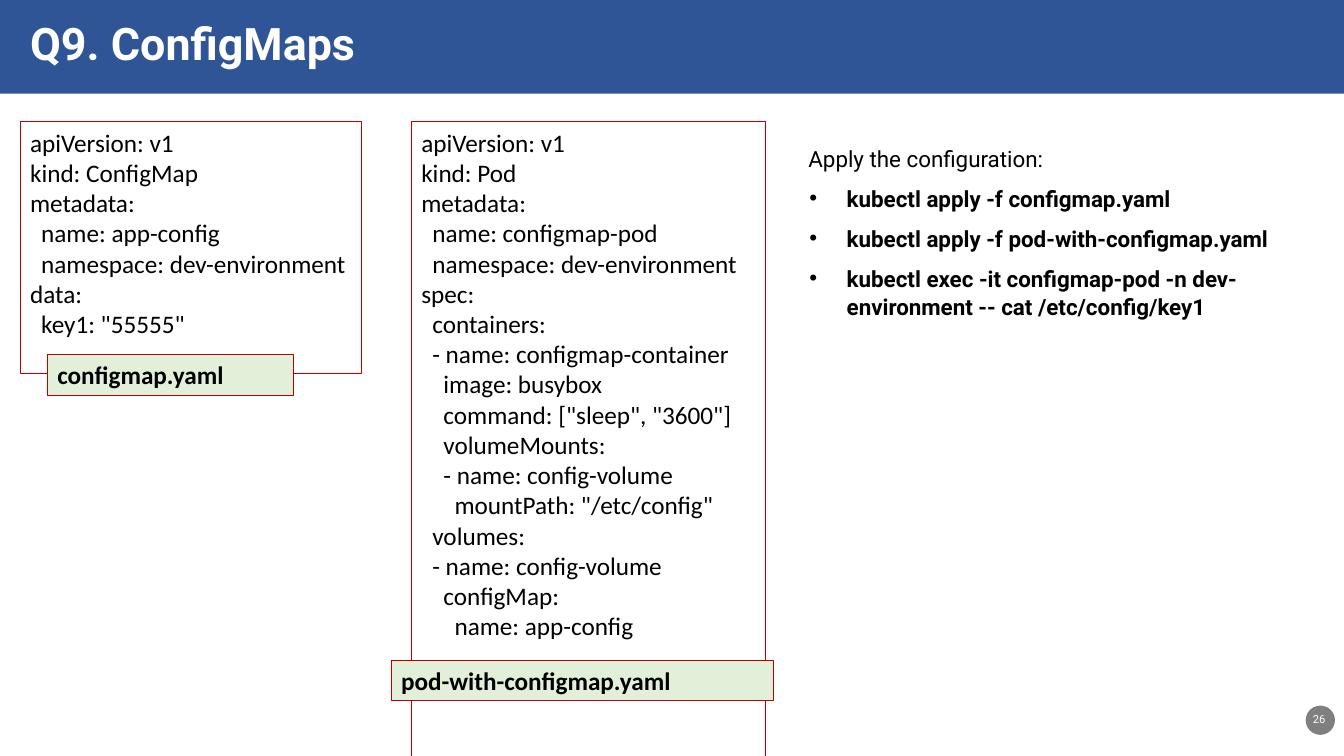
from lxml.etree import SubElement
from pptx import Presentation
from pptx.dml.color import RGBColor
from pptx.enum.shapes import MSO_SHAPE
from pptx.enum.text import MSO_ANCHOR, PP_ALIGN
from pptx.oxml.ns import qn
from pptx.util import Pt

PX = 9144  # EMU in one px, 100 px to the inch
WIDE, HIGH = 1333, 750
STEP = 11  # one level of YAML indent

WHITE = RGBColor(0xFF, 0xFF, 0xFF)
BLACK = RGBColor(0, 0, 0)
BLUE = RGBColor(0x2F, 0x55, 0x97)
RED = RGBColor(0xC0, 0, 0)
GREEN = RGBColor(0xE2, 0xF0, 0xD9)
GRAY = RGBColor(0x7F, 0x7F, 0x7F)

# Each line: indent level, text
CONFIG = [
    (0, "apiVersion: v1"),
    (0, "kind: ConfigMap"),
    (0, "metadata:"),
    (1, "name: app-config"),
    (1, "namespace: dev-environment"),
    (0, "data:"),
    (1, 'key1: "55555"'),
]
POD = [
    (0, "apiVersion: v1"),
    (0, "kind: Pod"),
    (0, "metadata:"),
    (1, "name: configmap-pod"),
    (1, "namespace: dev-environment"),
    (0, "spec:"),
    (1, "containers:"),
    (1, "- name: configmap-container"),
    (2, "image: busybox"),
    (2, 'command: ["sleep", "3600"]'),
    (2, "volumeMounts:"),
    (2, "- name: config-volume"),
    (3, 'mountPath: "/etc/config"'),
    (1, "volumes:"),
    (1, "- name: config-volume"),
    (2, "configMap:"),
    (3, "name: app-config"),
]
STEPS = [
    "kubectl apply -f configmap.yaml",
    "kubectl apply -f pod-with-configmap.yaml",
    "kubectl exec -it configmap-pod -n dev-environment -- cat /etc/config/key1",
]


def add_box(slide, box, fill=None, line=None, kind=MSO_SHAPE.RECTANGLE):
    shape = slide.shapes.add_shape(kind, *(v * PX for v in box))
    shape.shadow.inherit = False
    if fill is None:
        shape.fill.background()
    else:
        shape.fill.solid()
        shape.fill.fore_color.rgb = fill
    if line is None:
        shape.line.fill.background()
    else:
        shape.line.color.rgb = line
        shape.line.width = Pt(0.75)
    shape.text_frame.vertical_anchor = MSO_ANCHOR.TOP
    return shape


def add_text(slide, box):
    frame = slide.shapes.add_textbox(*(v * PX for v in box)).text_frame
    frame.word_wrap = True
    return frame


def add_run(para, text, size, font, color=BLACK, bold=False):
    run = para.add_run()
    run.text = text
    run.font.size = Pt(size)
    run.font.name = font
    run.font.bold = bold
    run.font.color.rgb = color


def next_para(frame, first):
    para = frame.paragraphs[0] if first else frame.add_paragraph()
    para.alignment = PP_ALIGN.LEFT
    return para


def add_title(slide, box, text):
    left, top, wide, high = box
    add_box(slide, box, BLUE)
    frame = add_text(slide, (left + 20, top + 11, 1046, 63))
    add_run(next_para(frame, True), text, 32, "Roboto", WHITE, True)


def add_code(slide, box, lines, name, tag):
    """Framed YAML with a file label, tag being placed relative to box."""
    left, top = box[:2]
    frame = add_box(slide, box, line=RED).text_frame
    for i, (level, text) in enumerate(lines):
        para = next_para(frame, i == 0)
        para._p.get_or_add_pPr().set("marL", str(level * STEP * PX))
        add_run(para, text, 18, "Calibri")

    # File label
    dx, dy, wide, high = tag
    label = add_box(slide, (left + dx, top + dy, wide, high), GREEN, RED)
    add_run(next_para(label.text_frame, True), name, 18, "Calibri", bold=True)


def add_steps(slide, box, head, steps):
    frame = add_text(slide, box)
    for i, text in enumerate([head] + steps):
        para = next_para(frame, i == 0)
        para.line_spacing = 1.07
        para.space_after = Pt(8)
        if i:
            props = para._p.get_or_add_pPr()
            props.set("marL", str(38 * PX))
            props.set("indent", str(-37 * PX))
            SubElement(props, qn("a:buFont")).set("typeface", "Arial")
            SubElement(props, qn("a:buChar")).set("char", "•")
        add_run(para, text, 16, "Roboto", bold=i > 0)


def add_number(slide, box, text):
    left, top, wide, high = box
    add_box(slide, box, GRAY, kind=MSO_SHAPE.OVAL)
    frame = add_text(slide, (left - 5, top + 1, 37, 25))
    frame.margin_left = frame.margin_right = 0
    frame.vertical_anchor = MSO_ANCHOR.MIDDLE
    para = next_para(frame, True)
    para.alignment = PP_ALIGN.CENTER
    add_run(para, text, 8, "Roboto", WHITE)


def main():
    deck = Presentation()
    deck.slide_width, deck.slide_height = WIDE * PX, HIGH * PX
    slide = deck.slides.add_slide(deck.slide_layouts[6])
    add_number(slide, (1295, 700, 29, 29), "26")
    add_title(slide, (0, 0, WIDE, 93), "Q9. ConfigMaps")
    add_code(slide, (20, 121, 339, 250), CONFIG, "configmap.yaml",
             (27, 231, 244, 40))
    add_code(slide, (408, 121, 351, 640), POD, "pod-with-configmap.yaml",
             (-20, 534, 379, 40))
    add_steps(slide, (792, 137, 564, 214), "Apply the configuration:", STEPS)
    deck.save("out.pptx")


if __name__ == "__main__":
    main()
